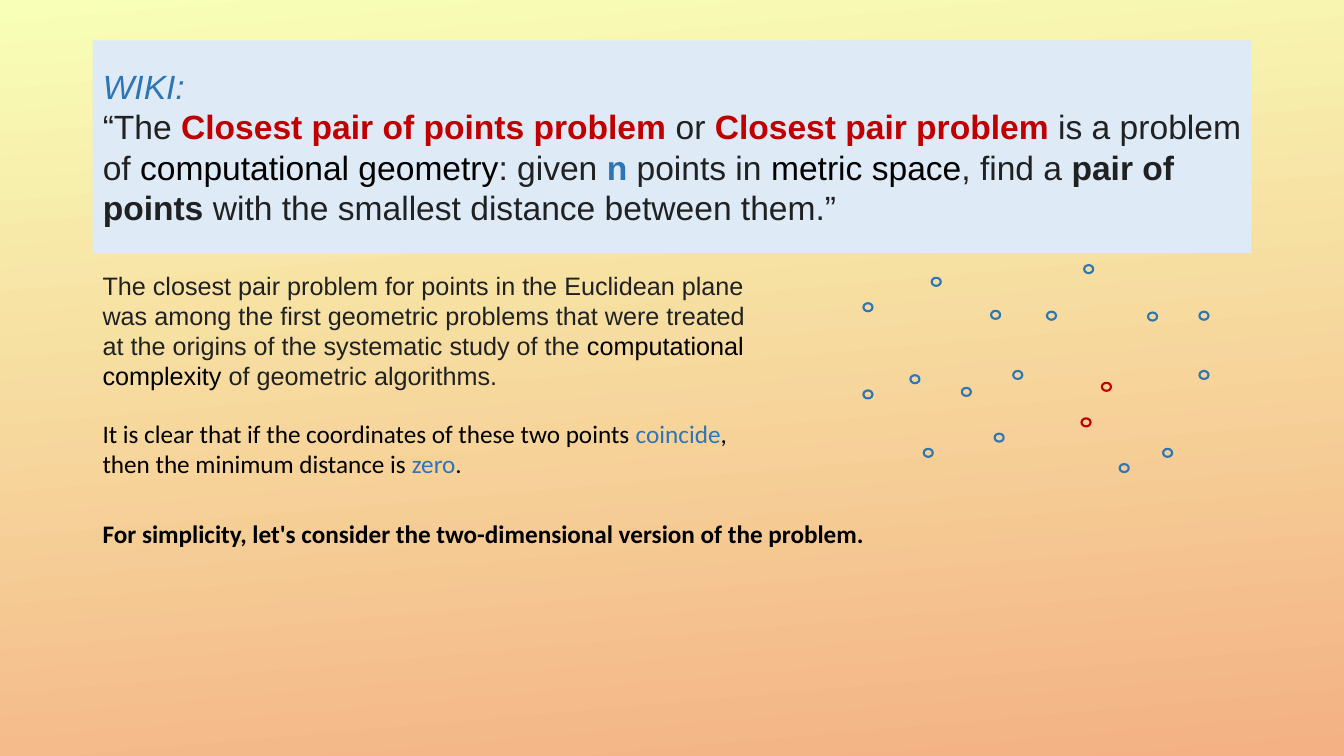
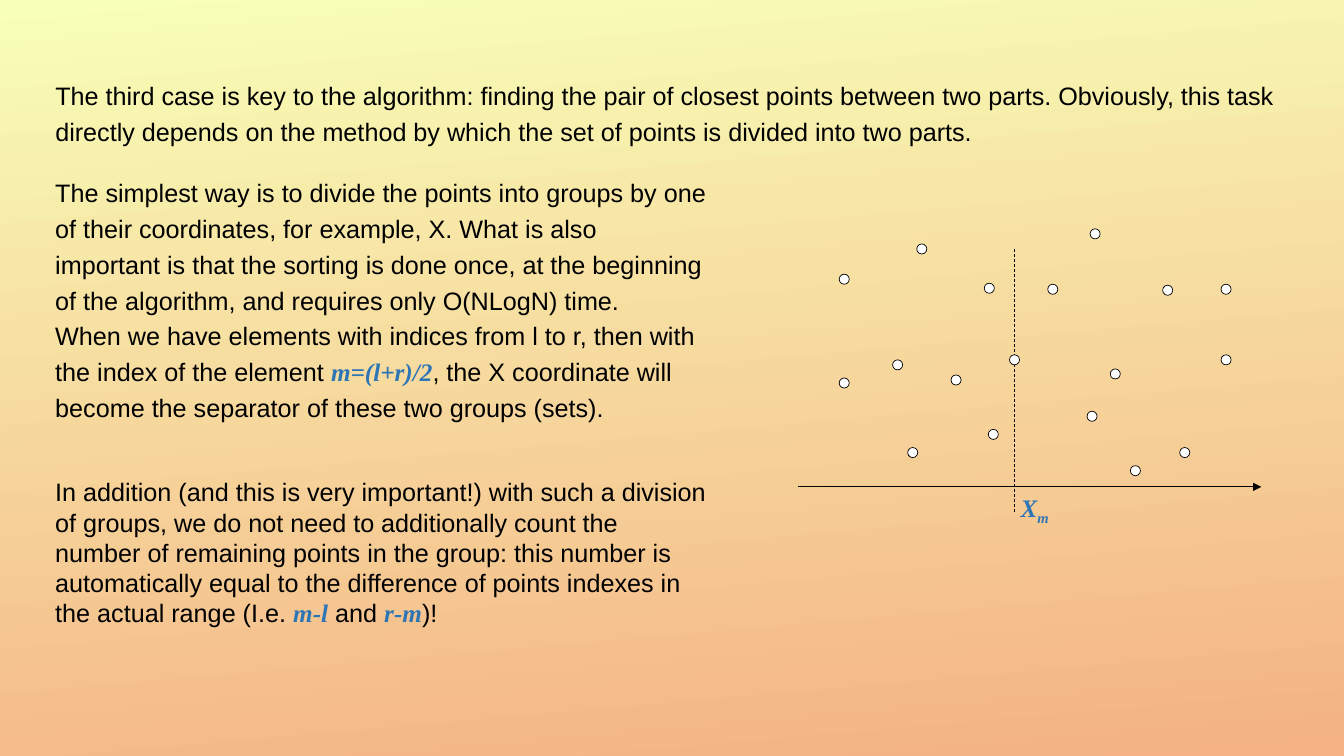
from dataclasses import dataclass
from typing import Optional

from lxml.etree import SubElement
from pptx import Presentation
from pptx.dml.color import RGBColor
from pptx.enum.dml import MSO_LINE
from pptx.enum.shapes import MSO_CONNECTOR as Link, MSO_SHAPE as Form
from pptx.enum.text import MSO_ANCHOR as Anchor, MSO_AUTO_SIZE as Fit, PP_ALIGN as Align
from pptx.oxml.ns import qn
from pptx.util import Inches, Pt

BLACK, WHITE, INK = "000000", "FFFFFF", "202122"
BLUE, RED, PALE = "2E75B6", "C00000", "DEEBF7"
YELLOW, PEACH = "F8FFB7", "F4B183"
SANS, BODY, SERIF = "Arial", "Calibri", "Times New Roman"


@dataclass
class Run:
    text: str
    color: Optional[str] = None
    bold: Optional[bool] = None
    italic: Optional[bool] = None
    face: Optional[str] = None
    sub: bool = False


@dataclass
class Para:
    runs: list[Run]
    face: str = SANS
    color: str = BLACK
    size: int = 18
    bold: bool = False
    space: float = 1.0


@dataclass
class Box:
    left: float
    top: float
    width: float
    height: float
    paras: list[Para]
    inset: bool = True


@dataclass
class Dot:
    left: float
    top: float
    near: bool = False


DOTS = [
    Dot(8.33, 2.72), Dot(9.1, 2.42), Dot(8.33, 3.75), Dot(8.86, 3.57),
    Dot(9.01, 4.44), Dot(9.81, 4.26), Dot(10.02, 3.52), Dot(9.77, 2.81),
    Dot(10.4, 2.82), Dot(10.79, 4.08, True), Dot(11.22, 4.62), Dot(11.71, 4.44),
    Dot(10.82, 2.27), Dot(11.54, 2.83), Dot(12.12, 2.82), Dot(12.12, 3.52),
    Dot(11.02, 3.66, True), Dot(9.44, 3.72),
]


def tint(code: str) -> RGBColor:
    return RGBColor.from_string(code)


def math(text: str) -> Run:
    return Run(text, BLUE, True, True, SERIF)


def place(shape, left: float, top: float, width: float, height: float) -> None:
    shape.left, shape.top = Inches(left), Inches(top)
    shape.width, shape.height = Inches(width), Inches(height)


def add_run(para, item: Run) -> None:
    for i, part in enumerate(item.text.split("\n")):
        if i:
            para.add_line_break()
        if not part:
            continue
        run = para.add_run()
        run.text = part
        font = run.font
        font.name, font.bold, font.italic = item.face, item.bold, item.italic
        if item.color:
            font.color.rgb = tint(item.color)
        if item.sub:
            run._r.get_or_add_rPr().set("baseline", "-25000")


def write(frame, paras: list[Para]) -> None:
    for i, item in enumerate(paras):
        para = frame.add_paragraph() if i else frame.paragraphs[0]
        para.alignment = Align.LEFT
        para.line_spacing = item.space
        font = para.font
        font.name, font.size, font.bold = item.face, Pt(item.size), item.bold
        font.color.rgb = tint(item.color)
        for run in item.runs:
            add_run(para, run)


def add_box(slide, box: Box) -> None:
    shape = slide.shapes.add_textbox(0, 0, 0, 0)
    place(shape, box.left, box.top, box.width, box.height)
    frame = shape.text_frame
    frame.word_wrap = True
    if box.inset:
        frame.auto_size = Fit.SHAPE_TO_FIT_TEXT
    else:
        frame.margin_left = frame.margin_top = 0
        frame.margin_right = frame.margin_bottom = 0
    write(frame, box.paras)


def add_dot(shapes, left: float, top: float, width: float, height: float,
            line: str, weight: float, fill: Optional[str] = None) -> None:
    dot = shapes.add_shape(Form.OVAL, Inches(left), Inches(top),
                           Inches(width), Inches(height))
    dot.shadow.inherit = False
    dot.line.color.rgb, dot.line.width = tint(line), Pt(weight)
    if fill:
        dot.fill.solid()
        dot.fill.fore_color.rgb = tint(fill)
    else:
        dot.fill.background()


def add_line(slide, x1: float, y1: float, x2: float, y2: float,
             arrow: bool = False, dash: bool = False) -> None:
    link = slide.shapes.add_connector(Link.STRAIGHT, Inches(x1), Inches(y1),
                                      Inches(x2), Inches(y2))
    link.line.color.rgb, link.line.width = tint(BLACK), Pt(0.5)
    if dash:
        link.line.dash_style = MSO_LINE.DASH
    if arrow:
        SubElement(link.line._get_or_add_ln(), qn("a:tailEnd"), type="triangle")
    SubElement(link._element.spPr, qn("a:effectLst"))


def paint(master) -> None:
    fill = master.background.fill
    fill.gradient()
    fill.gradient_angle = 275
    for stop, code, pos in zip(fill.gradient_stops, (YELLOW, PEACH), (0, 1)):
        stop.color.rgb, stop.position = tint(code), pos


def add_intro(deck) -> None:
    slide = deck.slides.add_slide(deck.slide_layouts[5])
    title = slide.shapes.title
    place(title, 0.92, 0.4, 11.5, 2.11)
    title.fill.solid()
    title.fill.fore_color.rgb = tint(PALE)
    frame = title.text_frame
    frame.word_wrap, frame.auto_size = True, Fit.NONE
    frame.vertical_anchor = Anchor.MIDDLE
    write(frame, [Para([
        Run("WIKI:\n", BLUE, italic=True),
        Run("“The "),
        Run("Closest pair of points problem ", RED, True),
        Run("or "),
        Run("Closest pair problem ", RED, True),
        Run("is a problem of "),
        Run("computational geometry", BLACK),
        Run(": given "),
        Run("n ", BLUE, True),
        Run("points in "),
        Run("metric space", BLACK),
        Run(", find a "),
        Run("pair of \npoints ", bold=True),
        Run("with the smallest distance between them.”"),
    ], color=INK, size=24)])
    add_box(slide, Box(0.92, 2.63, 6.67, 1.3, [Para([
        Run("The closest pair problem for points in the Euclidean plane was among "
            "the first geometric problems that were treated at the origins of the "
            "systematic study of the "),
        Run("computational complexity ", BLACK),
        Run("of geometric algorithms."),
    ], color=INK)]))
    group = slide.shapes.add_group_shape()
    for dot in DOTS:
        left = 8.57 + (dot.left - 8.33) * 0.88
        top = 2.63 + (dot.top - 2.27) * 0.84
        add_dot(group.shapes, left, top, 0.09, 0.08, RED if dot.near else BLUE, 1.5)
    add_box(slide, Box(0.92, 4.1, 6.67, 0.7, [Para([
        Run("It is clear that if the coordinates of these two points "),
        Run("coincide", BLUE),
        Run(", then the minimum distance is "),
        Run("zero", BLUE),
        Run("."),
    ], face=BODY)]))
    add_box(slide, Box(0.92, 5.09, 8.52, 0.4, [Para([
        Run("For simplicity, let's consider the two-dimensional version of the problem."),
    ], face=BODY, bold=True)]))


def add_split(deck) -> None:
    slide = deck.slides.add_slide(deck.slide_layouts[6])
    add_box(slide, Box(0.45, 0.69, 12.72, 0.82, [Para([
        Run("The third case is key to the algorithm: finding the pair of closest "
            "points between two parts. Obviously, this task directly depends on the "
            "method by which the set of points is divided into two parts."),
    ], space=1.19)]))
    add_box(slide, Box(0.45, 1.65, 6.67, 2.6, [
        Para([
            Run("The simplest way is to divide the points into groups by one of their "
                "coordinates, for example, X. What is also important is that the "
                "sorting is done once, at the beginning of the algorithm, and requires "
                "only O(NLogN) time."),
        ], space=1.19),
        Para([
            Run("When we have elements with indices from l to r, then with the index "
                "of the element "),
            math("m=(l+r)/2"),
            Run(", the X coordinate will become the separator of these two groups "
                "(sets)."),
        ], space=1.19),
    ]))
    add_box(slide, Box(0.45, 4.68, 6.67, 1.6, [Para([
        Run("In addition (and this is very important!) with such a division of groups, "
            "we do not need to additionally count the number of remaining points in "
            "the group: this number is automatically equal to the difference of points "
            "indexes in the actual range (I.e. "),
        math("m-l"),
        Run(" and "),
        math("r-m"),
        Run(")!"),
    ])]))
    add_line(slide, 7.92, 4.83, 12.52, 4.83, arrow=True)
    add_line(slide, 10.07, 2.47, 10.07, 5.08, dash=True)
    mark = Run("m", BLUE, True, True, SERIF, sub=True)
    add_box(slide, Box(10.13, 4.88, 0.63, 0.48, [Para([math("X"), mark])], inset=False))
    for dot in DOTS:
        add_dot(slide.shapes, dot.left, dot.top, 0.1, 0.1, BLACK, 0.5, WHITE)


def main() -> None:
    deck = Presentation()
    deck.slide_width, deck.slide_height = Inches(13.34), Inches(7.5)
    paint(deck.slide_master)
    add_intro(deck)
    add_split(deck)
    deck.save("out.pptx")


if __name__ == "__main__":
    main()
